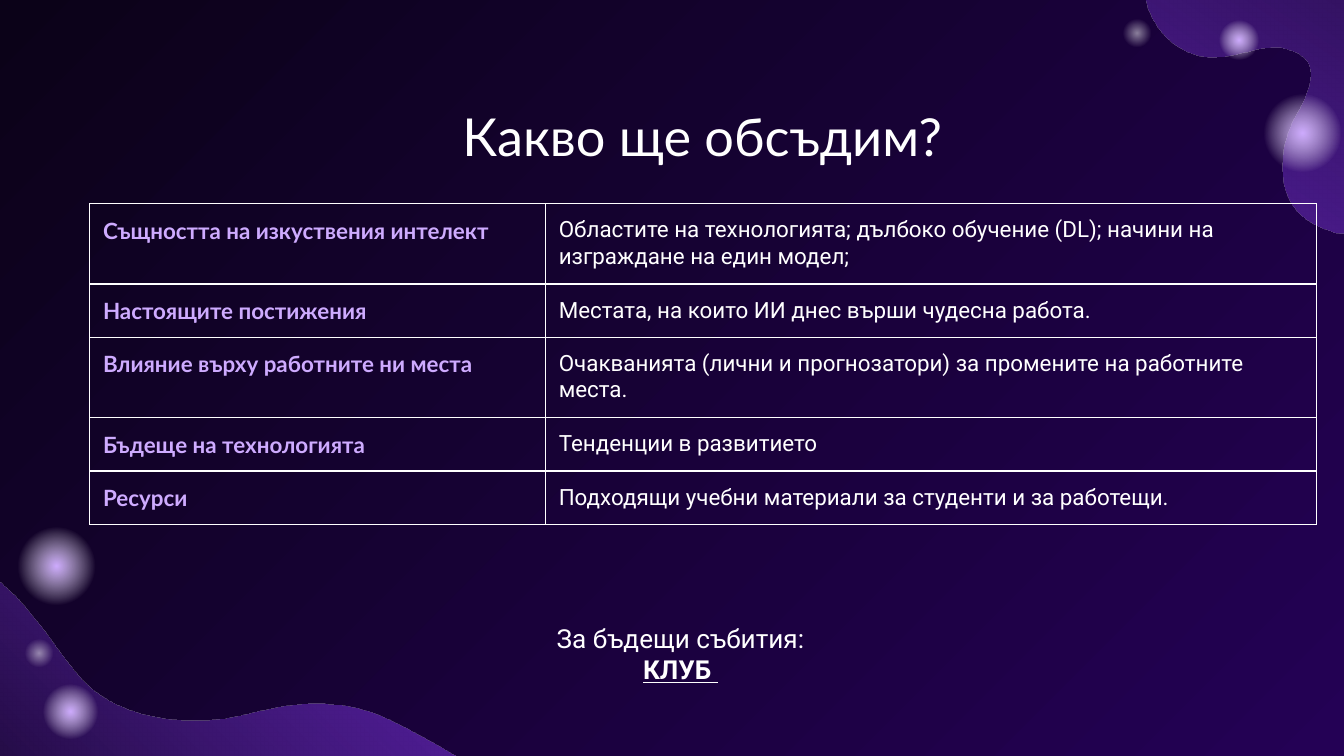
from math import cos, radians, sin

from lxml.etree import SubElement
from pptx import Presentation
from pptx.dml.color import RGBColor
from pptx.enum.shapes import MSO_SHAPE as SHAPE
from pptx.enum.text import MSO_ANCHOR as ANCHOR, PP_ALIGN as ALIGN
from pptx.oxml.ns import qn
from pptx.util import Pt

COLORS = {
    "night": "0B0218",
    "indigo": "240155",
    "violet": "8134EC",
    "lilac": "CEABFF",
    "white": "FFFFFF",
}
HEAD_FONT, BODY_FONT = "Lato", "Roboto"
SLIDE = (0, 0, 720, 405)
INSET = Pt(7.2)

BACKGROUND = [(0, "night", 100), (100, "indigo", 100)]
WAVE = [(0, "night", 100), (100, "violet", 70)]
FADE = [(57, "white", 0), (100, "white", 0)]
GLOW = [(0, "lilac", 100)] + FADE
FAINT_GLOW = [(0, "white", 50)] + FADE

# A wave is a start point, Bezier pieces (two controls and an end), and corners.
TOP_WAVE = {
    "start": (570.2, -78.5),
    "curves": [
        ((578.9, -77.8), (590.4, -69.8), (596.2, -64.8)),
        ((601.2, -60.5), (606.2, -54.7), (608.4, -49)),
        ((612, -40.3), (612, -31), (612, -20.9)),
        ((612, -14.4), (612, -7.9), (613.4, -1.4)),
        ((617, 15.1), (627.8, 26.6), (643.7, 30.2)),
        ((660.2, 33.8), (676.1, 20.9), (692.6, 27.4)),
        ((711.4, 34.6), (697.7, 54.7), (691.9, 66.2)),
        ((685.4, 79.9), (684, 100.8), (694.8, 113)),
        ((699.8, 118.8), (708.5, 122.4), (715.7, 124.6)),
        ((724.3, 126), (733, 123.8), (741.6, 125.3)),
        ((748.8, 126), (758.9, 129.6), (763.9, 136.1)),
        ((769, 143.3), (771.1, 151.9), (774, 159.8)),
        ((785.5, 191.5), (813.6, 219.6), (848.2, 226.1)),
        ((852.5, 226.8), (859, 227.5), (863.3, 226.1)),
    ],
    "corners": [(787, -130.3)],
    "angle": 225,
    "rotation": 257.9,
}
BOTTOM_WAVE = {
    "start": (-93.6, 283),
    "curves": [
        ((-89.3, 281.5), (-84.2, 280.8), (-79.2, 280.8)),
        ((-59, 280.8), (-36.7, 289.4), (-20.9, 297.4)),
        ((-0.7, 308.2), (10.8, 321.1), (23.8, 337.7)),
        ((34.6, 352.1), (43.2, 367.9), (61.2, 376.6)),
        ((79.9, 385.9), (108, 388.1), (128.9, 383)),
        ((151.2, 376.6), (177.8, 373), (200.2, 381.6)),
        ((222.5, 391), (244.1, 404.6), (264.2, 416.9)),
        ((277.2, 425.5), (290.2, 434.2), (302.4, 444.2)),
    ],
    "corners": [(-92.9, 444.2)],
    "angle": 315,
}
# Left, top, diameter, gradient
BOTTOM_ORBS = [(4.3, 277.2, 51.8, GLOW), (19.4, 362.9, 36.7, GLOW),
               (11.5, 340.6, 18.7, FAINT_GLOW)]
TOP_ORBS = [(650.9, 8.6, 25.9, GLOW), (671.8, 45.4, 51.8, GLOW),
            (599.8, 8.6, 18.7, FAINT_GLOW)]

TOPICS = [
    ("Същността на изкуствения интелект",
     "Областите на технологията; дълбоко обучение (DL); начини на изграждане на един модел;"),
    ("Настоящите постижения", "Местата, на които ИИ днес върши чудесна работа."),
    ("Влияние върху работните ни места",
     "Очакванията (лични и прогнозатори) за промените на работните места."),
    ("Бъдеще на технологията", "Тенденции в развитието"),
    ("Ресурси", "Подходящи учебни материали за студенти и за работещи."),
]


def set_gradient(fill, host, stops, angle=None):
    """Fill with (position, colour, opacity) stops; without an angle, from the centre out."""
    fill.gradient()
    grad = host.find(".//" + qn("a:gradFill"))
    for child in list(grad):
        grad.remove(child)
    grad.set("rotWithShape", "1")
    gs_list = SubElement(grad, qn("a:gsLst"))
    for position, color, opacity in stops:
        gs = SubElement(gs_list, qn("a:gs"), pos=str(position * 1000))
        clr = SubElement(gs, qn("a:srgbClr"), val=COLORS[color])
        if opacity < 100:
            SubElement(clr, qn("a:alpha"), val=str(opacity * 1000))
    if angle is None:
        radial = SubElement(grad, qn("a:path"), path="circle")
        SubElement(radial, qn("a:fillToRect"), l="50000", t="50000", r="50000", b="50000")
    else:
        SubElement(grad, qn("a:lin"), ang=str(angle * 60000), scaled="0")


def finish(sp, stops, angle=None):
    set_gradient(sp.fill, sp.element.spPr, stops, angle)
    sp.line.fill.background()
    sp.shadow.inherit = False


def turn(point, degrees):
    """Rotate a point clockwise about the origin."""
    a = radians(degrees)
    x, y = point
    return x * cos(a) - y * sin(a), x * sin(a) + y * cos(a)


def add_wave(shapes, box, start, curves, corners, angle, rotation=0):
    def place(point):
        x, y = turn((box[0] + point[0], box[1] + point[1]), -rotation)
        return Pt(x), Pt(y)

    builder = shapes.build_freeform(*place(start))
    ends = [curve[-1] for curve in curves]
    builder.add_line_segments([place(p) for p in ends + corners], close=True)
    sp = builder.convert_to_shape()
    left, top = sp.left, sp.top
    segments = list(sp.element.iter(qn("a:lnTo")))
    for segment, curve in zip(segments, curves):
        piece = SubElement(segment.getparent(), qn("a:cubicBezTo"))
        for x, y in map(place, curve):
            SubElement(piece, qn("a:pt"), x=str(x - left), y=str(y - top))
        segment.getparent().replace(segment, piece)
    cx, cy = turn((left + sp.width / 2, top + sp.height / 2), rotation)
    sp.left, sp.top = round(cx - sp.width / 2), round(cy - sp.height / 2)
    sp.rotation = rotation
    finish(sp, WAVE, angle)


def add_orbs(shapes, box, orbs):
    group = shapes.add_group_shape()
    for x, y, size, stops in orbs:
        sp = group.shapes.add_shape(SHAPE.OVAL, Pt(box[0] + x), Pt(box[1] + y),
                                    Pt(size), Pt(size))
        finish(sp, stops)


def write(p, text, font=BODY_FONT, size=12, color="white", bold=False,
          underline=False, align=ALIGN.LEFT):
    p.alignment = align
    r = p.add_run()
    r.text = text
    r.font.name, r.font.size = font, Pt(size)
    r.font.bold, r.font.underline = bold, underline
    r.font.color.rgb = RGBColor.from_string(COLORS[color])


def add_text(shapes, box, lines):
    """Place centred lines, each a pair of text and format."""
    tf = shapes.add_textbox(*map(Pt, box)).text_frame
    tf.word_wrap = True
    tf.margin_left = tf.margin_right = tf.margin_top = tf.margin_bottom = INSET
    for i, (text, style) in enumerate(lines):
        p = tf.add_paragraph() if i else tf.paragraphs[0]
        write(p, text, align=ALIGN.CENTER, **style)


def set_borders(cell):
    tc_pr = cell._tc.get_or_add_tcPr()
    for i, side in enumerate(("a:lnL", "a:lnR", "a:lnT", "a:lnB")):
        ln = SubElement(tc_pr, qn(side), w=str(Pt(0.75)))
        solid = SubElement(ln, qn("a:solidFill"))
        SubElement(solid, qn("a:srgbClr"), val=COLORS["white"])
        tc_pr.insert(i, ln)


def add_topics(shapes, box, topics, first_width=244.2):
    width, height = box[2:]
    table = shapes.add_table(len(topics), 2, *map(Pt, box)).table
    table.first_row = table.horz_banding = False
    table.columns[0].width = Pt(first_width)
    table.columns[1].width = Pt(width - first_width)
    styles = ({"font": HEAD_FONT, "color": "lilac", "bold": True}, {})
    for row, texts in zip(table.rows, topics):
        row.height = Pt(height / len(topics))
        for cell, text, style in zip(row.cells, texts, styles):
            cell.fill.background()
            cell.vertical_anchor = ANCHOR.TOP
            cell.margin_left = cell.margin_right = cell.margin_top = INSET
            cell.margin_bottom = Pt(7)
            write(cell.text_frame.paragraphs[0], text, **style)
            set_borders(cell)


def main():
    prs = Presentation()
    prs.slide_width, prs.slide_height = map(Pt, SLIDE[2:])
    s = prs.slides.add_slide(prs.slide_layouts[6])
    set_gradient(s.background.fill, s.element, BACKGROUND, 45)
    for wave in (TOP_WAVE, BOTTOM_WAVE):
        add_wave(s.shapes, SLIDE, **wave)
    for orbs in (BOTTOM_ORBS, TOP_ORBS):
        add_orbs(s.shapes, SLIDE, orbs)
    add_text(s.shapes, (72.7, 48.7, 607, 45.4),
             [("Какво ще обсъдим?", {"font": HEAD_FONT, "size": 28})])
    add_text(s.shapes, (278.2, 326.2, 172.8, 40.3),
             [("За бъдещи събития:", {"size": 14}),
              ("КЛУБ ", {"size": 14, "bold": True, "underline": True})])
    add_topics(s.shapes, (48, 109.1, 657.2, 137), TOPICS)
    prs.save("out.pptx")


if __name__ == "__main__":
    main()
